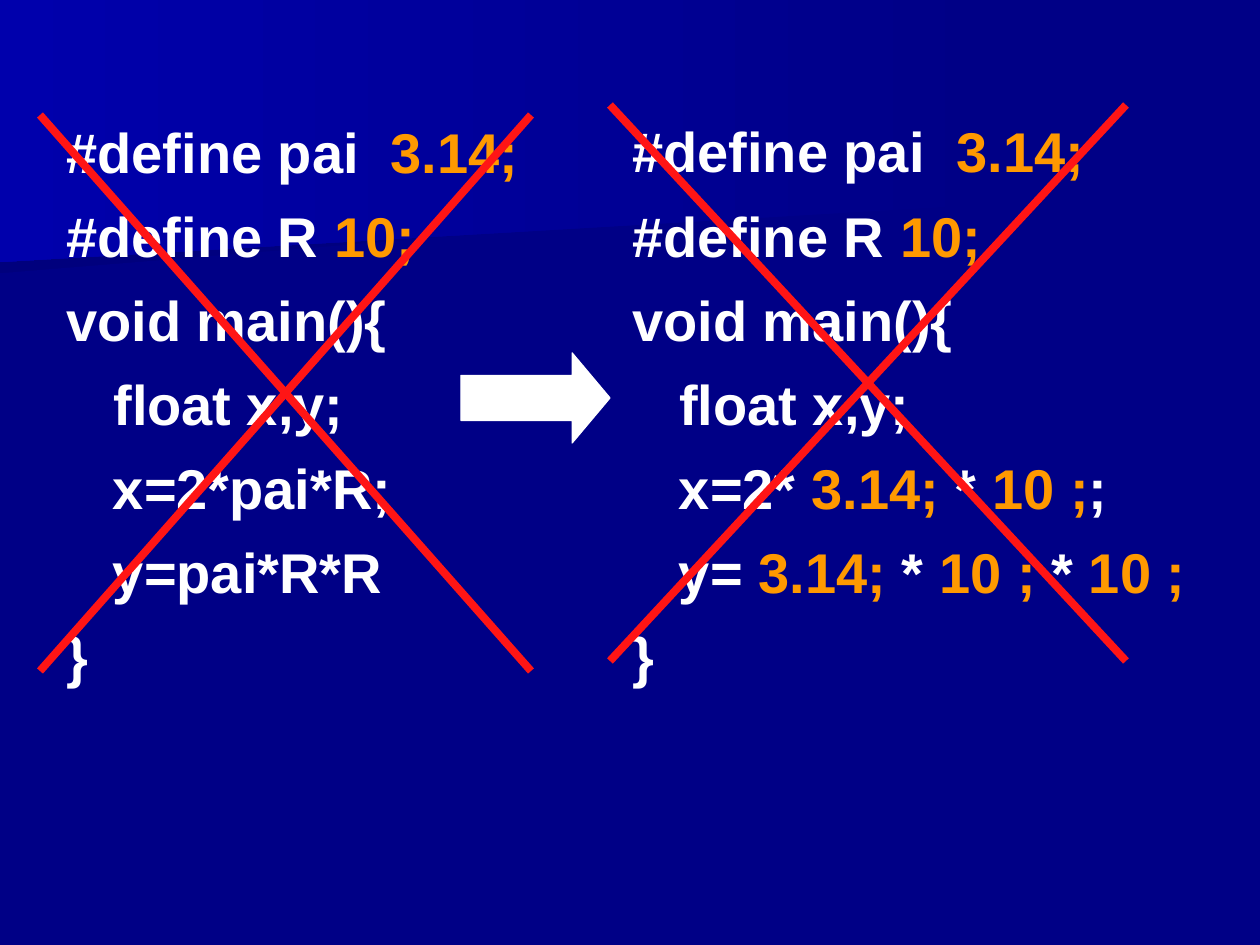
from dataclasses import dataclass

from lxml import etree
from pptx import Presentation
from pptx import util as u
from pptx.dml.color import RGBColor
from pptx.enum import shapes, text
from pptx.oxml.ns import qn

PX = 914400 / 126


@dataclass(frozen=True)
class Theme:
    back: str = "000086"
    shade: str = "00007D"
    glow: str = "0000AC"
    code: str = "FFFFFF"
    value: str = "FF9900"
    cross: str = "FF1515"
    font: str = "Arial"
    size: int = 32
    gap: float = 9.6
    cross_width: float = 4.5


T = Theme()

HEAD = [
    [("#define pai  ", T.code), ("3.14;", T.value)],
    [("#define R ", T.code), ("10;", T.value)],
    [("void main(){", T.code)],
    [("\tfloat x,y;", T.code)],
]
TAIL = [[("}", T.code)]]
SOURCE = HEAD + [
    [("   x=2*pai*R;", T.code)],
    [("   y=pai*R*R", T.code)],
] + TAIL
EXPANDED = HEAD + [
    [("   x=2* ", T.code), ("3.14;", T.value), (" * ", T.code),
     ("10 ;", T.value), (";", T.code)],
    [("   y= ", T.code), ("3.14;", T.value), (" * ", T.code),
     ("10 ;", T.value), (" * ", T.code), ("10 ;", T.value)],
] + TAIL


def px(n):
    return u.Emu(round(n * PX))


def rgb(value):
    return RGBColor.from_string(value)


def add_band(s, points, right, left):
    fb = s.shapes.build_freeform(*points[0], scale=PX)
    fb.add_line_segments(points[1:], close=True)
    sp = fb.convert_to_shape()
    sp.shadow.inherit = False
    sp.line.fill.background()
    sp.fill.gradient()
    sp.fill.gradient_angle = 180
    for stop, color, position in zip(sp.fill.gradient_stops, (right, left), (0, 1)):
        stop.color.rgb = rgb(color)
        stop.position = position


def indent_code(p):
    pPr = p._p.get_or_add_pPr()
    pPr.set("marL", str(px(47)))
    pPr.set("indent", str(-px(47)))
    tabs = etree.SubElement(pPr, qn("a:tabLst"))
    for inch in range(8):
        etree.SubElement(tabs, qn("a:tab"), pos=str(u.Inches(inch)), algn="l")


def add_code(s, x, y, w, h, lines):
    tf = s.shapes.add_textbox(px(x), px(y), px(w), px(h)).text_frame
    tf.word_wrap = True
    tf.vertical_anchor = text.MSO_ANCHOR.TOP
    tf.margin_top = px(11)
    for i, line in enumerate(lines):
        p = tf.paragraphs[0] if i == 0 else tf.add_paragraph()
        indent_code(p)
        p.space_before = u.Pt(T.gap if i else 0)
        for words, color in line:
            r = p.add_run()
            r.text = words
            r.font.name = T.font
            r.font.size = u.Pt(T.size)
            r.font.bold = True
            r.font.color.rgb = rgb(color)


def add_cross(s, x, y, w, h):
    for x1, x2 in ((x, x + w), (x + w, x)):
        line = s.shapes.add_connector(
            shapes.MSO_CONNECTOR.STRAIGHT, px(x1), px(y), px(x2), px(y + h))
        line.line.color.rgb = rgb(T.cross)
        line.line.width = u.Pt(T.cross_width)
        etree.SubElement(line._element.spPr, qn("a:effectLst"))


def add_arrow(s, x, y, w, h):
    sp = s.shapes.add_shape(
        shapes.MSO_SHAPE.RIGHT_ARROW, px(x), px(y), px(w), px(h))
    sp.adjustments[0] = 0.5
    sp.adjustments[1] = 0.42
    sp.shadow.inherit = False
    sp.fill.solid()
    sp.fill.fore_color.rgb = rgb(T.code)
    sp.line.color.rgb = rgb(T.code)
    sp.line.width = u.Pt(0.75)


def main():
    prs = Presentation()
    prs.slide_width, prs.slide_height = px(1260), px(945)
    s = prs.slides.add_slide(prs.slide_layouts[6])
    s.background.fill.solid()
    s.background.fill.fore_color.rgb = rgb(T.back)

    add_band(s, [(980, 193), (0, 273), (0, 127), (982, 127)], T.back, T.shade)
    add_band(s, [(998, 204), (0, 262), (0, 0), (998, 0)], T.back, T.glow)

    add_code(s, 54, 106, 517, 596, SOURCE)
    add_code(s, 620, 106, 595, 595, EXPANDED)
    add_cross(s, 610, 105, 516, 556)
    add_cross(s, 40, 115, 491, 556)
    add_arrow(s, 461, 353, 149, 90)

    prs.save("out.pptx")


if __name__ == "__main__":
    main()
